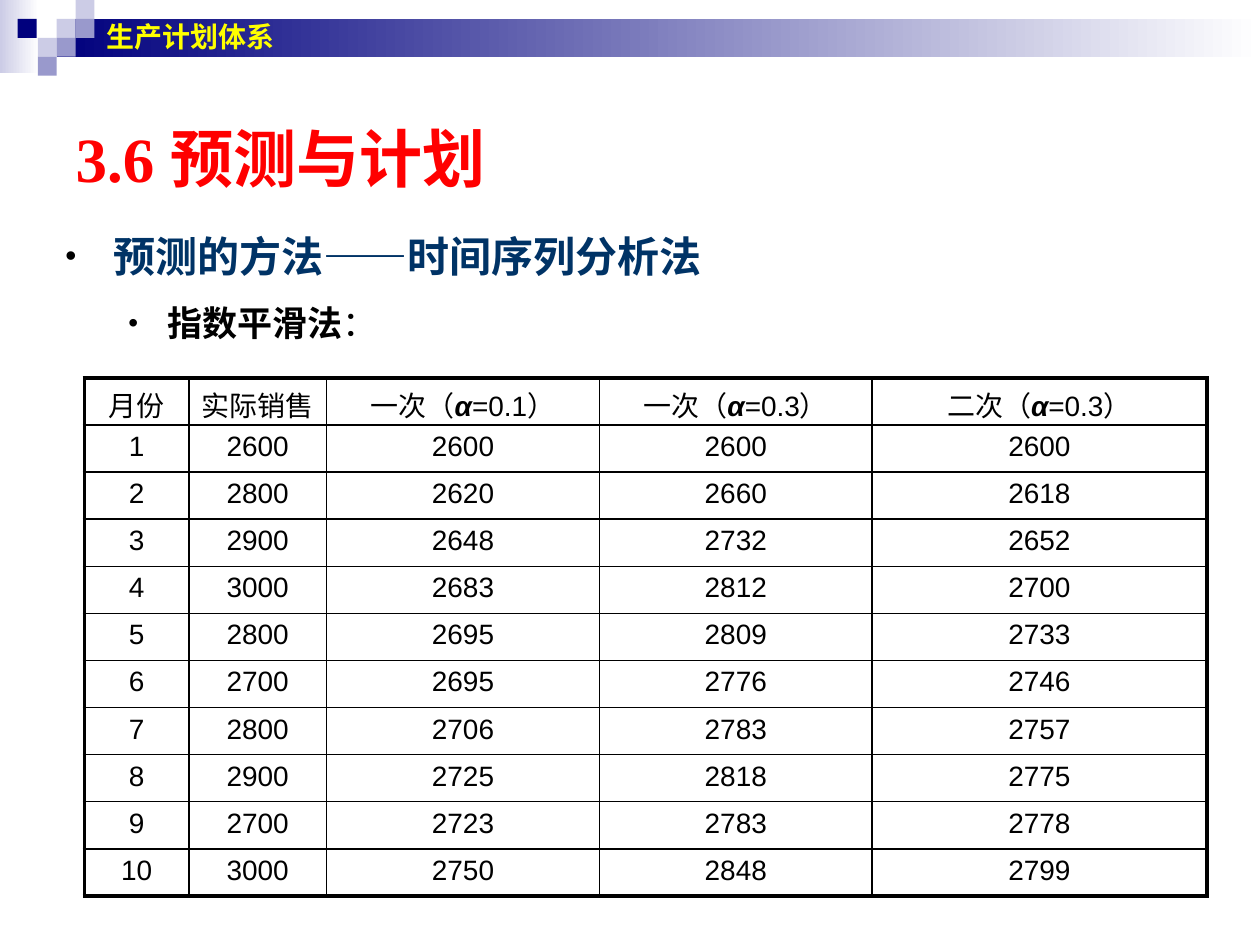
from dataclasses import dataclass

from lxml.etree import SubElement
from pptx import Presentation
from pptx.dml.color import RGBColor
from pptx.enum.shapes import MSO_SHAPE
from pptx.enum.text import MSO_ANCHOR, PP_ALIGN
from pptx.oxml.ns import qn
from pptx.util import Inches, Pt

COLORS = {
    "navy": "00007D", "lilac": "CCCCE6", "violet": "9999CC", "white": "FFFFFF",
    "red": "FF0000", "blue": "003366", "yellow": "FFFF00", "black": "000000",
}


@dataclass
class Block:
    left: float
    top: float
    width: float
    height: float
    color: str
    fade: bool = False


@dataclass
class Bullet:
    runs: list[tuple[str, bool]]
    size: int
    color: str
    level: int
    margin: float
    hang: float
    bullet_pct: int


UNIT = 0.15
BLOCKS = [
    Block(0, 0, 0.31, 0.58, "lilac", fade=True),
    Block(0.45, UNIT, 9.55, 2 * UNIT, "navy", fade=True),
] + [
    Block(left, row * UNIT, UNIT, UNIT, color)
    for left, row, color in [
        (0.45, 1, "lilac"), (0.6, 0, "lilac"), (0.6, 1, "violet"), (0.3, 2, "lilac"),
        (0.14, 1, "navy"), (0.45, 2, "violet"), (0.3, 3, "violet"),
    ]
]

BULLETS = [
    Bullet([("预测的方法——时间序列分析法", True)], 24, "blue", 0, 0.38, 0.38, 75),
    Bullet([("指数平滑法", True), ("：", False)], 20, "black", 1, 0.81, 0.31, 80),
]

COL_WIDTHS = [0.83, 1.09, 2.17, 2.16, 2.66]
HEADERS = ["月份", "实际销售", "一次（α=0.1）", "一次（α=0.3）", "二次（α=0.3）"]
SALES = [2600, 2800, 2900, 3000, 2800, 2700, 2800, 2900, 2700, 3000]
FORECASTS = [
    [2600, 2620, 2648, 2683, 2695, 2695, 2706, 2725, 2723, 2750],
    [2600, 2660, 2732, 2812, 2809, 2776, 2783, 2818, 2783, 2848],
    [2600, 2618, 2652, 2700, 2733, 2746, 2757, 2775, 2778, 2799],
]


def rgb(name: str) -> RGBColor:
    return RGBColor.from_string(COLORS[name])


def add_run(p, text: str, color: str, **fmt) -> None:
    r = p.add_run()
    r.text = text
    r.font.color.rgb = rgb(color)
    for name, value in fmt.items():
        setattr(r.font, name, value)


def add_block(s, block: Block) -> None:
    sp = s.shapes.add_shape(
        MSO_SHAPE.RECTANGLE, Inches(block.left), Inches(block.top),
        Inches(block.width), Inches(block.height))
    sp.shadow.inherit = False
    sp.line.fill.background()
    if block.fade:
        sp.fill.gradient()
        sp.fill.gradient_angle = 0
        for stop, color in zip(sp.fill.gradient_stops, (block.color, "white")):
            stop.color.rgb = rgb(color)
    else:
        sp.fill.solid()
        sp.fill.fore_color.rgb = rgb(block.color)


def add_text_box(s, left: float, top: float, width: float, height: float):
    tf = s.shapes.add_textbox(
        Inches(left), Inches(top), Inches(width), Inches(height)).text_frame
    tf.word_wrap = True
    return tf


def add_bullet(p, item: Bullet) -> None:
    p.level = item.level
    p.line_spacing = 1.5
    pPr = p._p.get_or_add_pPr()
    pPr.set("marL", str(Inches(item.margin)))
    pPr.set("indent", str(-Inches(item.hang)))
    clr = SubElement(pPr, qn("a:buClr"))
    SubElement(clr, qn("a:srgbClr"), val=COLORS["black"])
    SubElement(pPr, qn("a:buSzPct"), val=str(item.bullet_pct * 1000))
    SubElement(pPr, qn("a:buFont"), typeface="Arial")
    SubElement(pPr, qn("a:buChar"), char="•")
    for text, bold in item.runs:
        add_run(p, text, item.color, size=Pt(item.size), name="Arial", bold=bold)


def set_borders(cell, widths: dict[str, float]) -> None:
    tcPr = cell._tc.get_or_add_tcPr()
    for i, (side, width) in enumerate(widths.items()):
        ln = tcPr.makeelement(qn(f"a:ln{side}"), {"w": str(Pt(width))})
        fill = SubElement(ln, qn("a:solidFill"))
        SubElement(fill, qn("a:srgbClr"), val=COLORS["black"])
        tcPr.insert(i, ln)


def fill_cell(cell, text: str) -> None:
    cell.fill.background()
    p = cell.text_frame.paragraphs[0]
    p.alignment = PP_ALIGN.CENTER
    before, alpha, after = text.partition("α")
    for part in filter(None, (before, alpha, after)):
        add_run(p, part, "black", size=Pt(16), name="Arial",
                bold=part == "α", italic=part == "α")


def add_sales_table(s) -> None:
    rows = [HEADERS] + [
        [str(v) for v in (month, *values)]
        for month, values in enumerate(zip(SALES, *FORECASTS), start=1)
    ]
    last_row, last_col = len(rows) - 1, len(HEADERS) - 1
    table = s.shapes.add_table(
        len(rows), len(HEADERS), Inches(0.67), Inches(3),
        Inches(sum(COL_WIDTHS)), Inches(4.11)).table
    table.first_row = table.horz_banding = False
    for col, width in zip(table.columns, COL_WIDTHS):
        col.width = Inches(width)
    for i, row in enumerate(rows):
        for j, text in enumerate(row):
            cell = table.cell(i, j)
            fill_cell(cell, text)
            outer = {"L": j == 0, "R": j == last_col, "T": i == 0, "B": i == last_row}
            set_borders(cell, {side: 2.25 if edge else 1 for side, edge in outer.items()})


def main() -> None:
    prs = Presentation()
    prs.slide_width, prs.slide_height = Inches(10), Inches(7.5)
    s = prs.slides.add_slide(prs.slide_layouts[5])

    # Header band and squares
    for block in BLOCKS:
        add_block(s, block)

    # Title
    title = s.shapes.title
    title.left, title.top = Inches(0.5), Inches(0.5)
    title.width, title.height = Inches(9), Inches(1.5)
    title.text_frame.vertical_anchor = MSO_ANCHOR.MIDDLE
    p = title.text_frame.paragraphs[0]
    p.alignment = PP_ALIGN.LEFT
    add_run(p, "3.6 预测与计划", "red", size=Pt(36), name="Times New Roman", bold=True)

    # Bulleted text
    tf = add_text_box(s, 0.42, 1.58, 9.33, 5.92)
    for i, item in enumerate(BULLETS):
        add_bullet(tf.add_paragraph() if i else tf.paragraphs[0], item)

    # Chapter name on the band
    tf = add_text_box(s, 0.75, 0, 8.83, 0.58)
    tf.vertical_anchor = MSO_ANCHOR.MIDDLE
    add_run(tf.paragraphs[0], "生产计划体系", "yellow", size=Pt(16), name="Arial", bold=True)

    # Sales and forecasts by month
    add_sales_table(s)
    prs.save("out.pptx")


if __name__ == "__main__":
    main()
